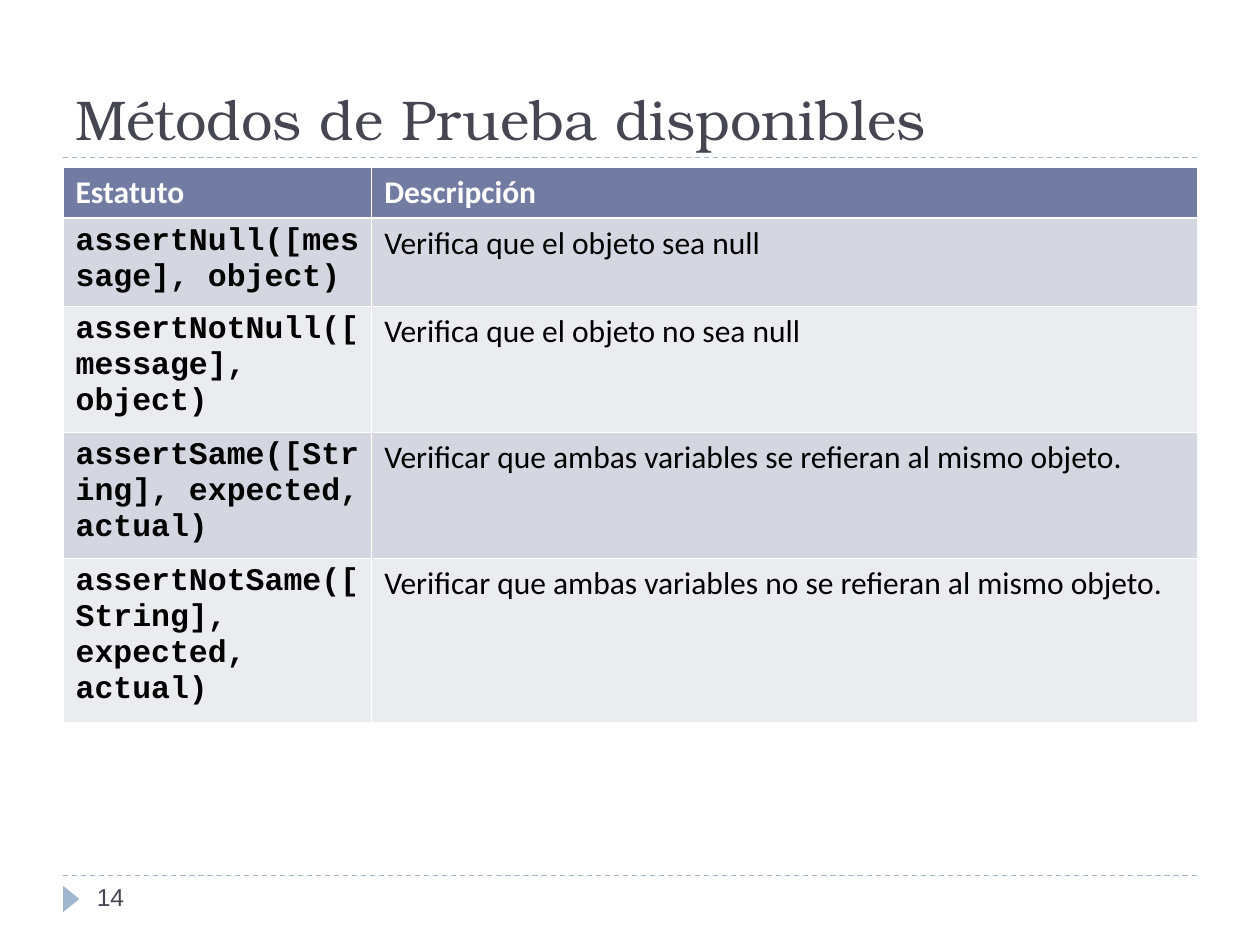
from lxml.etree import SubElement
from pptx import Presentation
from pptx.dml.color import RGBColor
from pptx.enum.dml import MSO_LINE
from pptx.enum.shapes import MSO_CONNECTOR, MSO_SHAPE
from pptx.enum.text import MSO_ANCHOR
from pptx.oxml.ns import qn
from pptx.util import Inches, Pt

TITLE = "Métodos de Prueba disponibles"
PAGE = "14"
HEADER = ("Estatuto", "Descripción")
METHODS = [
    ("assertNull([message], object)", "Verifica que el objeto sea null"),
    ("assertNotNull([message], object)", "Verifica que el objeto no sea null"),
    ("assertSame([String], expected, actual)",
     "Verificar que ambas variables se refieran al mismo objeto."),
    ("assertNotSame([String], expected, actual)",
     "Verificar que ambas variables no se refieran al mismo objeto."),
]
COL_WIDTHS = (2.45, 6.55)
ROW_HEIGHTS = (0.4, 0.7, 1, 1, 1.3)
LEFT, WIDTH = 0.5, 9
RULES_Y = (6.95, 1.25)

INK = RGBColor(0x46, 0x46, 0x53)
ACCENT = RGBColor(0x9F, 0xB8, 0xCD)
WHITE = RGBColor(0xFF, 0xFF, 0xFF)
BLACK = RGBColor(0x00, 0x00, 0x00)
HEADER_FILL = RGBColor(0x72, 0x7C, 0xA3)
BANDS = (RGBColor(0xD5, 0xD7, 0xE0), RGBColor(0xEB, 0xEC, 0xF0))


def write(tf, text, color, **font):
    r = tf.paragraphs[0].add_run()
    r.text = text
    r.font.color.rgb = color
    for name, value in font.items():
        setattr(r.font, name, value)


def add_text(s, box, anchor, text, **font):
    tf = s.shapes.add_textbox(*map(Inches, box)).text_frame
    tf.word_wrap = True
    tf.vertical_anchor = anchor
    write(tf, text, INK, **font)


def add_rule(s, y):
    line = s.shapes.add_connector(MSO_CONNECTOR.STRAIGHT, Inches(LEFT), Inches(y),
                                  Inches(LEFT + WIDTH), Inches(y))
    line.line.color.rgb = ACCENT
    line.line.width = Pt(0.75)
    line.line.dash_style = MSO_LINE.DASH
    SubElement(line._element.spPr, qn("a:effectLst"))


def set_borders(cell, **widths):
    """Draw white cell borders; widths are points by side, in the order L, R, T, B."""
    tc_pr = cell._tc.get_or_add_tcPr()
    for side, width in widths.items():
        ln = SubElement(tc_pr, qn(f"a:ln{side}"), w=str(Pt(width)))
        fill = SubElement(ln, qn("a:solidFill"))
        SubElement(fill, qn("a:srgbClr"), val=str(WHITE))


def add_methods_table(s):
    rows = [HEADER, *METHODS]
    table = s.shapes.add_table(len(rows), len(HEADER), Inches(LEFT), Inches(1.33),
                               Inches(WIDTH), Inches(sum(ROW_HEIGHTS))).table
    for column, width in zip(table.columns, COL_WIDTHS):
        column.width = Inches(width)
    for i, (texts, height) in enumerate(zip(rows, ROW_HEIGHTS)):
        table.rows[i].height = Inches(height)
        for j, text in enumerate(texts):
            cell = table.cell(i, j)
            set_borders(cell, L=0.45, R=0.45, T=1.47 if i == 1 else 0.45,
                        B=1.47 if i == 0 else 0.45)
            cell.fill.solid()
            cell.fill.fore_color.rgb = BANDS[(i - 1) % 2] if i else HEADER_FILL
            is_code = i > 0 and j == 0
            write(cell.text_frame, text, BLACK if i else WHITE, size=Pt(18),
                  name="Courier New" if is_code else "Calibri",
                  bold=i == 0 or is_code)


def main():
    prs = Presentation()
    prs.slide_width, prs.slide_height = Inches(10), Inches(7.5)
    s = prs.slides.add_slide(prs.slide_layouts[6])

    for y in RULES_Y:
        add_rule(s, y)
    marker = s.shapes.add_shape(MSO_SHAPE.ISOSCELES_TRIANGLE, Inches(0.46),
                                Inches(7.07), Inches(0.21), Inches(0.13))
    marker.rotation = 90
    marker.shadow.inherit = False
    marker.fill.solid()
    marker.fill.fore_color.rgb = ACCENT
    marker.line.fill.background()

    add_text(s, (LEFT, 0.17, WIDTH, 1.08), MSO_ANCHOR.BOTTOM, TITLE,
             size=Pt(32), name="TeX Gyre Bonum")
    add_text(s, (0.67, 6.95, 2.17, 0.4), MSO_ANCHOR.TOP, PAGE,
             size=Pt(14), name="Arial")
    add_methods_table(s)
    prs.save("out.pptx")


if __name__ == "__main__":
    main()
